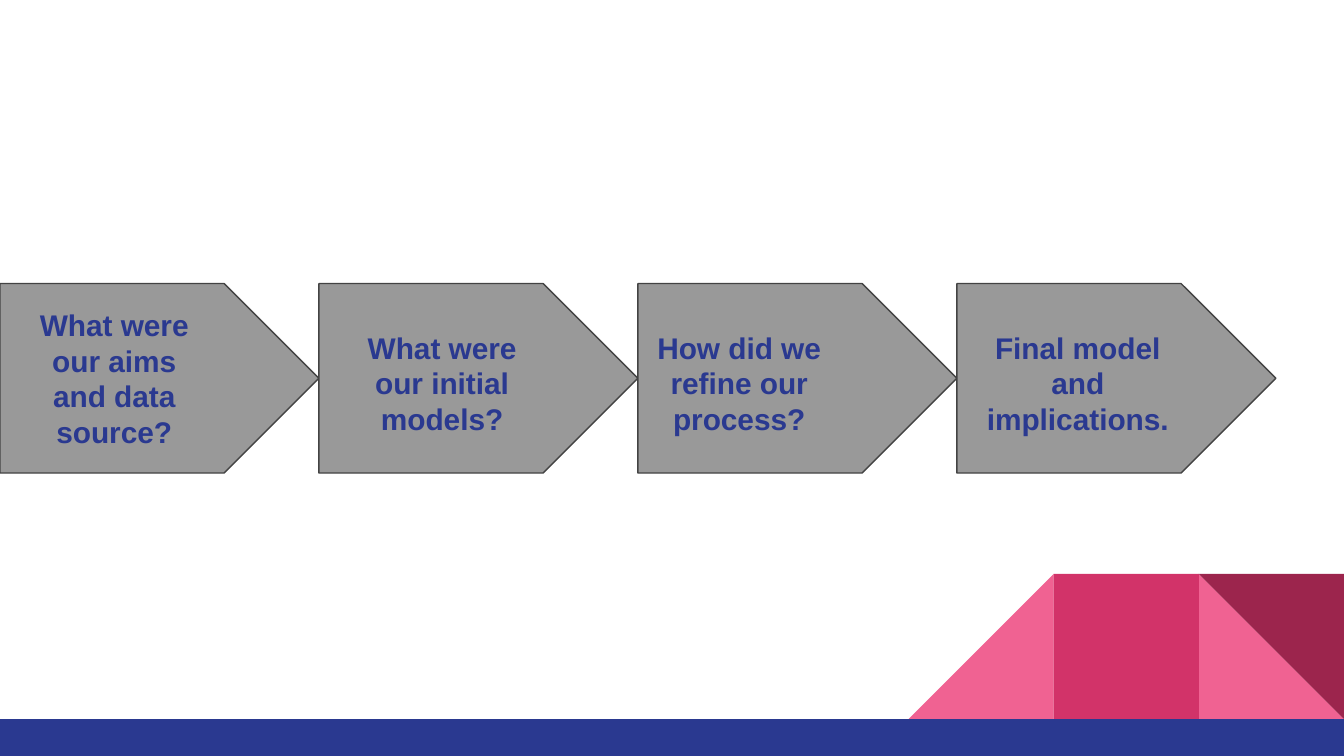
from dataclasses import dataclass

from pptx import Presentation
from pptx.dml.color import RGBColor
from pptx.enum.shapes import MSO_SHAPE as Shape
from pptx.enum.text import MSO_ANCHOR as Anchor, PP_ALIGN as Align
from pptx.util import Inches, Pt


@dataclass(frozen=True)
class Theme:
    navy: str = "2A3990"
    pink: str = "F06292"
    rose: str = "D23369"
    maroon: str = "9C254D"
    arrow: str = "999999"
    outline: str = "434343"
    font: str = "Arial"
    label_size: int = 16


THEME = Theme()
WIDTH = 10
HEIGHT = WIDTH * 9 / 16
BAR_TOP = 5.35
TILE = 1.08
LAST_STEP_LEFT = 7.12
STEP_TOP, STEP_HEIGHT = 2.11, 1.41

# Question, label left, label top, label width
STEPS = [
    ("What were our aims and data source?", 0.09, 2.18, 1.52),
    ("What were our initial models?", 2.53, 2.35, 1.52),
    ("How did we refine our process?", 4.74, 2.35, 1.52),
    ("Final model and implications.", LAST_STEP_LEFT, 2.35, 1.8),
]
STEP_WIDTH = LAST_STEP_LEFT / (len(STEPS) - 1)


def add_block(slide, kind, left, top, width, height, fill, outline=None, rotation=0):
    block = slide.shapes.add_shape(
        kind, Inches(left), Inches(top), Inches(width), Inches(height))
    block.shadow.inherit = False
    block.rotation = rotation
    block.fill.solid()
    block.fill.fore_color.rgb = RGBColor.from_string(fill)
    if outline:
        block.line.color.rgb = RGBColor.from_string(outline)
        block.line.width = Pt(0.75)
    else:
        block.line.fill.background()
    return block


def add_label(slide, text, left, top, width, height=0.92, *, size=THEME.label_size,
              color=THEME.navy, bold=True, align=Align.CENTER):
    label = slide.shapes.add_textbox(
        Inches(left), Inches(top), Inches(width), Inches(height))
    frame = label.text_frame
    frame.word_wrap = True
    frame.vertical_anchor = Anchor.TOP
    frame.margin_left = frame.margin_right = Inches(0.1)
    frame.margin_top = frame.margin_bottom = Inches(0.1)
    paragraph = frame.paragraphs[0]
    paragraph.alignment = align
    run = paragraph.add_run()
    run.text = text
    run.font.name = THEME.font
    run.font.size = Pt(size)
    run.font.bold = bold
    run.font.color.rgb = RGBColor.from_string(color)


def add_footer(slide):
    # Square tiles, counted in columns from the right edge
    tiles = [
        (Shape.RIGHT_TRIANGLE, 1, THEME.pink, 0),
        (Shape.RIGHT_TRIANGLE, 3, THEME.pink, 270),
        (Shape.RECTANGLE, 2, THEME.rose, 0),
        (Shape.RIGHT_TRIANGLE, 1, THEME.maroon, 180),
    ]
    for kind, column, fill, rotation in tiles:
        add_block(slide, kind, WIDTH - column * TILE, BAR_TOP - TILE,
                  TILE, TILE, fill, rotation=rotation)
    # Bottom bar
    add_block(slide, Shape.RECTANGLE, 0, BAR_TOP, WIDTH, HEIGHT - BAR_TOP, THEME.navy)


def add_process(slide):
    # Arrows touch tip to tail, with the labels above them
    for index in range(len(STEPS)):
        arrow = add_block(slide, Shape.PENTAGON, index * STEP_WIDTH, STEP_TOP,
                          STEP_WIDTH, STEP_HEIGHT, THEME.arrow, THEME.outline)
        arrow.adjustments[0] = 0.5
    for question, left, top, width in STEPS:
        add_label(slide, question, left, top, width)


def main():
    deck = Presentation()
    deck.slide_width, deck.slide_height = Inches(WIDTH), Inches(HEIGHT)
    slide = deck.slides.add_slide(deck.slide_layouts[6])
    add_footer(slide)
    add_process(slide)
    deck.save("out.pptx")


if __name__ == "__main__":
    main()
